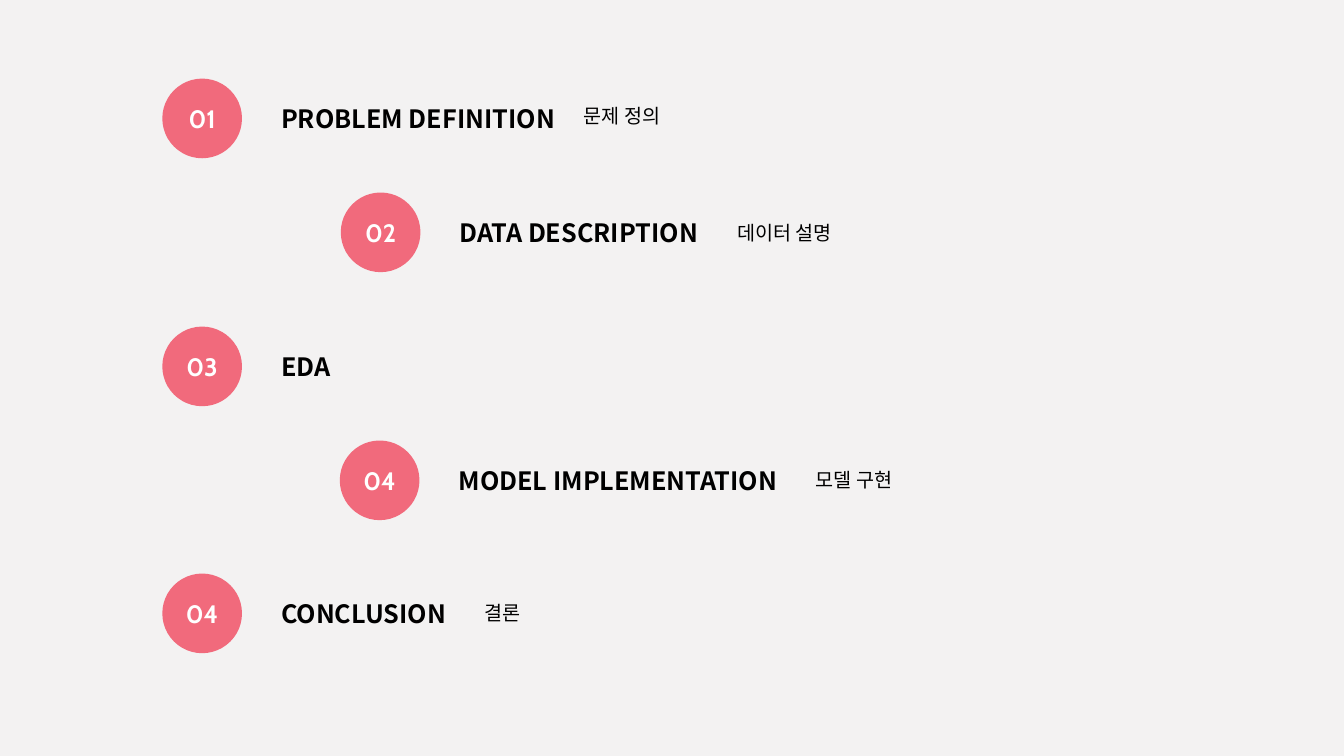
from lxml.etree import SubElement
from pptx import Presentation
from pptx.dml.color import RGBColor
from pptx.enum.shapes import MSO_SHAPE as Shape
from pptx.enum.text import MSO_ANCHOR as Anchor, MSO_AUTO_SIZE as AutoSize, PP_ALIGN as Align
from pptx.oxml.ns import qn
from pptx.util import Inches, Pt

BACKGROUND = RGBColor(0xF3, 0xF2, 0xF2)
RED = RGBColor(0xF0, 0x00, 0x20)
WHITE = RGBColor(0xFF, 0xFF, 0xFF)
BLACK = RGBColor(0x00, 0x00, 0x00)

CIRCLE = 0.79
TITLE_OFFSET = 1.08
TITLE_DROP = 0.2

# Number, circle left and top, title and its width, subtitle and its left, top, width
AGENDA = [
    ("01", 1.61, 0.78, "PROBLEM DEFINITION", 2.92, ("문제 정의", 3.2, 0.98, 3.45)),
    ("02", 3.38, 1.91, "DATA DESCRIPTION", 2.59, ("데이터 설명", 4.9, 2.14, 3.45)),
    ("03", 1.61, 3.24, "EDA", 0.7, None),
    ("04", 3.37, 4.37, "MODEL IMPLEMENTATION", 3.42, ("모델 구현", 4.45, 4.59, 4.5)),
    ("04", 1.61, 5.69, "CONCLUSION", 1.85, ("결론", 0.76, 5.91, 4.5)),
]


class AgendaPage:
    number_style = {"name": "Cabin", "size": Pt(18), "bold": True}
    title_style = {"name": "Noto Sans CJK KR", "size": Pt(18), "bold": True}
    subtitle_style = {"name": "Noto Sans CJK KR", "size": Pt(14), "bold": False}

    def __init__(self, deck):
        self.page = deck.slides.add_slide(deck.slide_layouts[6])
        fill = self.page.background.fill
        fill.solid()
        fill.fore_color.rgb = BACKGROUND

    def add_text(self, frame, text, style, color, align):
        para = frame.paragraphs[0]
        para.alignment = align
        span = para.add_run()
        span.text = text
        for name, value in style.items():
            setattr(span.font, name, value)
        span.font.color.rgb = color
        # Korean glyphs take the East Asian font
        SubElement(span.font._element, qn("a:ea"), typeface=style["name"])

    def circle(self, group, number, left, top):
        disc = group.shapes.add_shape(
            Shape.OVAL, Inches(left), Inches(top), Inches(CIRCLE), Inches(CIRCLE))
        disc.shadow.inherit = False
        disc.fill.solid()
        disc.fill.fore_color.rgb = RED
        color = disc._element.spPr.find(".//" + qn("a:srgbClr"))
        SubElement(color, qn("a:alpha"), val="56000")
        disc.line.fill.background()
        disc.text_frame.vertical_anchor = Anchor.MIDDLE
        self.add_text(disc.text_frame, number, self.number_style, WHITE, Align.CENTER)

    def label(self, group, text, bounds, style, align, wrap):
        box = group.shapes.add_textbox(*map(Inches, bounds))
        box.text_frame.word_wrap = wrap
        box.text_frame.auto_size = AutoSize.SHAPE_TO_FIT_TEXT
        self.add_text(box.text_frame, text, style, BLACK, align)

    def item(self, number, left, top, title, title_width, subtitle):
        group = self.page.shapes.add_group_shape()
        self.circle(group, number, left, top)
        bounds = (left + TITLE_OFFSET, top + TITLE_DROP, title_width, 0.4)
        self.label(group, title, bounds, self.title_style, Align.LEFT, False)
        if subtitle:
            text, *place = subtitle
            self.label(group, text, (*place, 0.34), self.subtitle_style, Align.RIGHT, True)


def main():
    deck = Presentation()
    deck.slide_width, deck.slide_height = Inches(13.33), Inches(7.5)

    # Agenda items from top to bottom
    agenda = AgendaPage(deck)
    for entry in AGENDA:
        agenda.item(*entry)

    deck.save("out.pptx")


if __name__ == "__main__":
    main()
